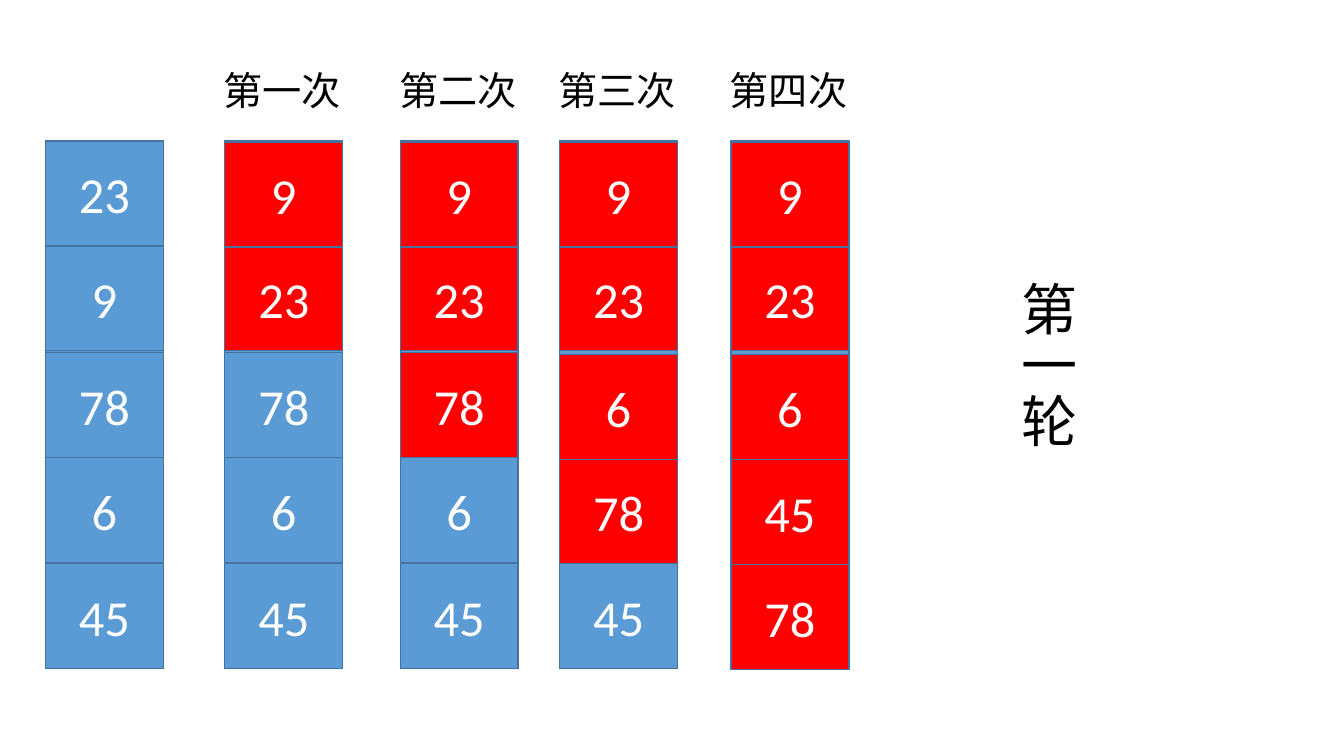
"""Build a slide that shows the first round of a bubble sort."""
from pptx import Presentation
from pptx.dml.color import RGBColor
from pptx.enum.shapes import MSO_SHAPE
from pptx.enum.text import MSO_ANCHOR, MSO_AUTO_SIZE, PP_ALIGN
from pptx.util import Inches, Pt

RECT = MSO_SHAPE.RECTANGLE
MIDDLE = MSO_ANCHOR.MIDDLE
CENTER = PP_ALIGN.CENTER
LEFT = PP_ALIGN.LEFT
GROW = MSO_AUTO_SIZE.SHAPE_TO_FIT_TEXT
BLUE = RGBColor(0x5B, 0x9B, 0xD5)
EDGE = RGBColor(0x43, 0x73, 0x9E)
RED = RGBColor(0xFF, 0, 0)
WHITE = RGBColor(0xFF, 0xFF, 0xFF)
BLACK = RGBColor(0, 0, 0)

START = (23, 9, 78, 6, 45)
STEPS = [
    {"label": "", "left": 0.45, "order": START, "red": 0,
     "nudge": (0, 0, 0, 0, 0)},
    {"label": "第一次", "left": 2.23, "order": (9, 23, 78, 6, 45), "red": 2,
     "nudge": (0.01, 0, 0, 0, 0)},
    {"label": "第二次", "left": 3.97, "order": (9, 23, 78, 6, 45), "red": 3,
     "nudge": (0.01, 0, 0, 0, 0)},
    {"label": "第三次", "left": 5.55, "order": (9, 23, 6, 78, 45), "red": 4,
     "nudge": (0.01, 0, 0.02, 0.01, 0)},
    {"label": "第四次", "left": 7.25, "order": (9, 23, 6, 45, 78), "red": 5,
     "nudge": (0.01, 0, 0.02, 0.02, 0.01)},
]
ROUND = "第一轮"
TOPS = (1.4, 2.44, 3.5, 4.54, 5.59)
WIDE, CELL, STACK = 1.17, 1.04, 5.23
VALUE = {"size": Pt(36), "name": "Calibri", "color": WHITE}
LABEL = {"size": Pt(28), "name": "Calibri", "color": BLACK}
TITLE = {"size": Pt(40), "name": "Calibri", "color": BLACK}


def write(shape, text, style, align):
    """Put styled text into a shape."""
    para = shape.text_frame.paragraphs[0]
    para.alignment = align
    run = para.add_run()
    run.text = text
    for key, val in style.items():
        if key == "color":
            run.font.color.rgb = val
        else:
            setattr(run.font, key, val)


def box(slide, left, top, high, fill):
    """Add one outlined box of the stack width."""
    shape = slide.shapes.add_shape(
        RECT, *map(Inches, (left, top, WIDE, high)))
    shape.shadow.inherit = False
    shape.fill.solid()
    shape.fill.fore_color.rgb = fill
    shape.line.color.rgb = EDGE
    shape.line.width = Pt(1)
    return shape


def note(slide, place, text, style):
    """Add a text box that grows with its text."""
    shape = slide.shapes.add_textbox(*map(Inches, place))
    shape.text_frame.word_wrap = True
    shape.text_frame.auto_size = GROW
    write(shape, text, style, LEFT)
    return shape


def stack(slide, step):
    """Draw the numbers after one step, with its label."""
    left = step["left"]
    box(slide, left, TOPS[0], STACK, BLUE)
    for num in START:
        slot = step["order"].index(num)
        fill = RED if slot < step["red"] else BLUE
        top = TOPS[slot] + step["nudge"][slot]
        cell = box(slide, left, top, CELL, fill)
        cell.text_frame.vertical_anchor = MIDDLE
        write(cell, str(num), VALUE, CENTER)
    if step["label"]:
        note(slide, (left - 0.11, 0.61, 1.4, 0.57), step["label"], LABEL)


deck = Presentation()
deck.slide_width, deck.slide_height = Inches(13.33), Inches(7.5)
slide = deck.slides.add_slide(deck.slide_layouts[6])
for step in STEPS:
    stack(slide, step)
title = note(slide, (9.89, 2.69, 0.88, STACK), ROUND, TITLE)
title.text_frame._txBody.bodyPr.set("vert", "eaVert")
deck.save("out.pptx")
